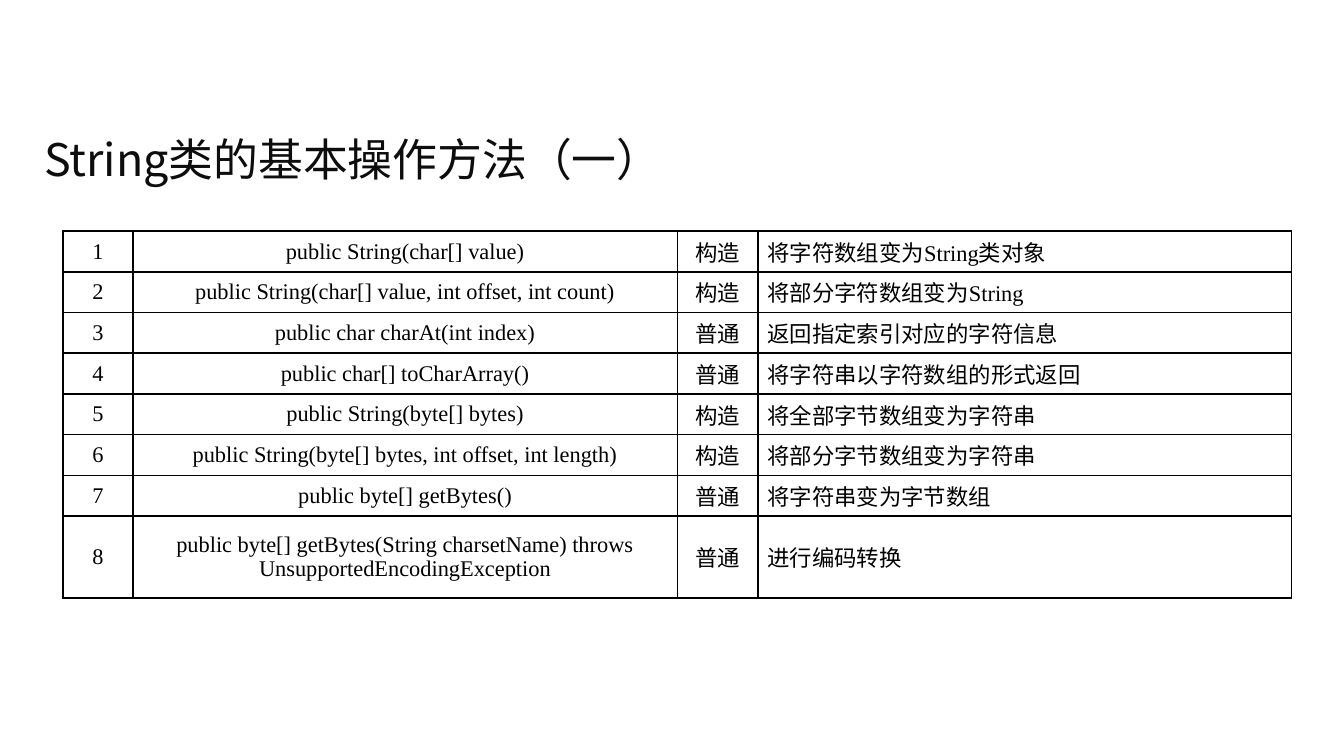
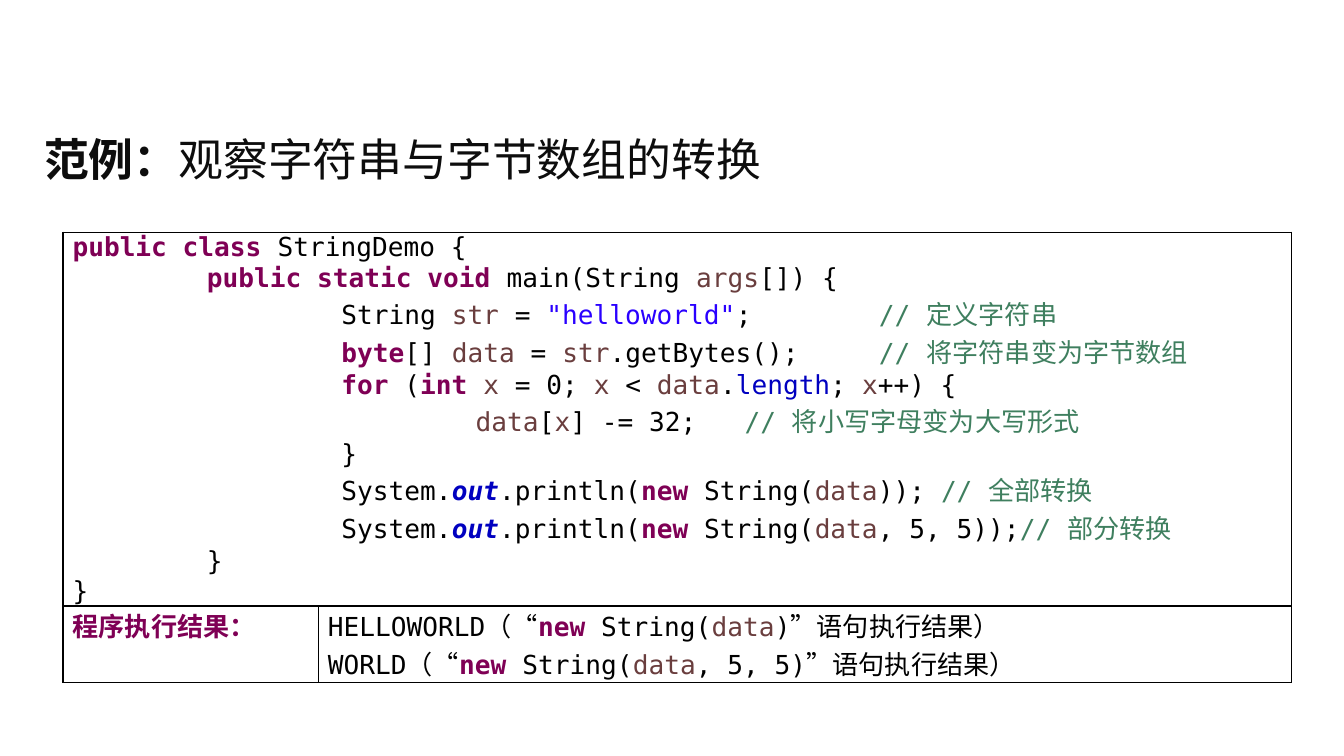
from lxml import etree
from pptx import Presentation
from pptx.dml.color import RGBColor
from pptx.enum.text import MSO_ANCHOR, PP_ALIGN
from pptx.oxml.ns import qn
from pptx.util import Inches, Pt

MIDDLE, TOP = MSO_ANCHOR.MIDDLE, MSO_ANCHOR.TOP
LEFT, CENTER, JUSTIFY = PP_ALIGN.LEFT, PP_ALIGN.CENTER, PP_ALIGN.JUSTIFY

COLORS = {
    "title": "0D0D0D",
    "text": "000000",
    "border": "000000",
    "keyword": "7F0055",
    "variable": "6A3E3E",
    "string": "2A00FF",
    "field": "0000C0",
    "comment": "3F7F5F",
}
CHINESE_FONT = "Noto Sans CJK SC"
TITLE_FORMAT = {"name": CHINESE_FONT, "size": Pt(24)}
METHOD_FORMAT = {"name": "Times New Roman", "size": Pt(12)}
CODE_FORMAT = {"name": "DejaVu Sans Mono", "size": Pt(14)}
MARKS = {
    "b": ("title", {"bold": True}),
    "k": ("keyword", {"bold": True}),
    "v": ("variable", {}),
    "s": ("string", {}),
    "f": ("field", {}),
    "o": ("field", {"bold": True, "italic": True}),
    "c": ("comment", {}),
}

METHODS = [
    ("public String(char[] value)", "构造", "将字符数组变为String类对象"),
    ("public String(char[] value, int offset, int count)", "构造", "将部分字符数组变为String"),
    ("public char charAt(int index)", "普通", "返回指定索引对应的字符信息"),
    ("public char[] toCharArray()", "普通", "将字符串以字符数组的形式返回"),
    ("public String(byte[] bytes)", "构造", "将全部字节数组变为字符串"),
    ("public String(byte[] bytes, int offset, int length)", "构造", "将部分字节数组变为字符串"),
    ("public byte[] getBytes()", "普通", "将字符串变为字节数组"),
    ("public byte[] getBytes(String charsetName) throws UnsupportedEncodingException",
     "普通", "进行编码转换"),
]
CODE_LINES = [
    "`kpublic class `StringDemo {",
    "\t`kpublic static void` main(String `vargs`[]) {",
    "\t\tString `vstr` = `s\"helloworld\"`;\t`c// 定义字符串`",
    "\t\t`kbyte`[] `vdata` = `vstr`.getBytes(); \t`c// 将字符串变为字节数组`",
    "\t\t`kfor` (`kint ``vx` = 0; `vx` < `vdata`.`flength`; `vx`++) {",
    "\t\t\t`vdata`[`vx`] -= 32; \t`c// 将小写字母变为大写形式`",
    "\t\t}",
    "\t\tSystem.`oout`.println(`knew` String(`vdata`)); `c// 全部转换`",
    "\t\tSystem.`oout`.println(`knew` String(`vdata`, 5, 5));`c// 部分转换`",
    "\t}",
    "}",
]
RESULT_LINES = [
    "HELLOWORLD（“`knew` String(`vdata`)”语句执行结果）",
    "WORLD（“`knew` String(`vdata`, 5, 5)”语句执行结果）",
]


def apply_format(target, values):
    """Set each named attribute of the target."""
    for name, value in values.items():
        setattr(target, name, value)


def add_run(paragraph, text, values, color):
    """Add a run with Latin and East Asian fonts."""
    run = paragraph.add_run()
    run.text = text
    apply_format(run.font, values)
    run.font.color.rgb = RGBColor.from_string(COLORS[color])
    east_asian = etree.SubElement(run.font._element, qn("a:ea"))
    east_asian.set("typeface", CHINESE_FONT)


def add_tab_stops(paragraph):
    """Place a tab stop at every inch."""
    tab_list = etree.SubElement(paragraph._p.get_or_add_pPr(), qn("a:tabLst"))
    for inch in range(1, 9):
        etree.SubElement(tab_list, qn("a:tab"), pos=str(Inches(inch)), algn="l")


def write_lines(frame, lines, values, color="text", alignment=LEFT, tabs=False):
    """Write lines whose backquoted parts begin with a style mark."""
    for index, line in enumerate(lines):
        paragraph = frame.add_paragraph() if index else frame.paragraphs[0]
        paragraph.alignment = alignment
        if tabs:
            add_tab_stops(paragraph)
        for position, part in enumerate(line.split("`")):
            if position % 2:
                mark_color, extra = MARKS[part[0]]
                add_run(paragraph, part[1:], {**values, **extra}, mark_color)
            elif part:
                add_run(paragraph, part, values, color)


def add_title(slide, text):
    """Add the shared title."""
    shape = slide.shapes.add_textbox(Inches(0.23), Inches(0.86), Inches(9.53), Inches(0.64))
    apply_format(shape.text_frame, {"word_wrap": True, "vertical_anchor": MIDDLE})
    write_lines(shape.text_frame, [text], TITLE_FORMAT, "title")


def format_cell(cell, anchor):
    """Give a cell its margins, black borders and no fill."""
    apply_format(cell, {
        "margin_left": Inches(0.07), "margin_right": Inches(0.07),
        "margin_top": 0, "margin_bottom": 0, "vertical_anchor": anchor,
    })
    properties = cell._tc.get_or_add_tcPr()
    for side in ("lnL", "lnR", "lnT", "lnB"):
        line = etree.SubElement(properties, qn(f"a:{side}"), w=str(Pt(1)))
        fill = etree.SubElement(line, qn("a:solidFill"))
        etree.SubElement(fill, qn("a:srgbClr"), val=COLORS["border"])
    cell.fill.background()


def add_grid(slide, top, widths, heights, anchor):
    """Add a plain bordered table."""
    table = slide.shapes.add_table(
        len(heights), len(widths), Inches(0.47), Inches(top),
        Inches(sum(widths)), Inches(sum(heights))).table
    apply_format(table, {"first_row": False, "horz_banding": False})
    for column, width in zip(table.columns, widths):
        column.width = Inches(width)
    for row, height in zip(table.rows, heights):
        row.height = Inches(height)
        for cell in row.cells:
            format_cell(cell, anchor)
    return table


def add_method_table(slide):
    """Add the numbered table of String methods."""
    total, last = 2.73, 0.61
    single_rows = len(METHODS) - 1
    heights = [(total - last) / single_rows] * single_rows + [last]
    table = add_grid(slide, 1.72, [0.52, 4.05, 0.6, 3.97], heights, MIDDLE)
    for number, method in enumerate(METHODS, 1):
        for column, text in enumerate((str(number), *method)):
            write_lines(table.cell(number - 1, column).text_frame, [text], METHOD_FORMAT,
                        alignment=JUSTIFY if column == 3 else CENTER)


def add_code_table(slide):
    """Add the program listing above its results."""
    table = add_grid(slide, 1.73, [1.9, 7.24], [2.78, 0.57], TOP)
    table.cell(0, 0).merge(table.cell(0, 1))
    write_lines(table.cell(0, 0).text_frame, CODE_LINES, CODE_FORMAT, tabs=True)
    write_lines(table.cell(1, 0).text_frame, ["`k程序执行结果：`"], CODE_FORMAT)
    write_lines(table.cell(1, 1).text_frame, RESULT_LINES, CODE_FORMAT)


def main():
    """Build and save the presentation."""
    presentation = Presentation()
    width = Inches(10)
    apply_format(presentation, {"slide_width": width, "slide_height": width * 9 // 16})
    pages = [
        ("String类的基本操作方法（一）", add_method_table),
        ("`b范例：`观察字符串与字节数组的转换", add_code_table),
    ]
    for title, add_content in pages:
        slide = presentation.slides.add_slide(presentation.slide_layouts[6])
        add_title(slide, title)
        add_content(slide)
    presentation.save("out.pptx")


if __name__ == "__main__":
    main()
